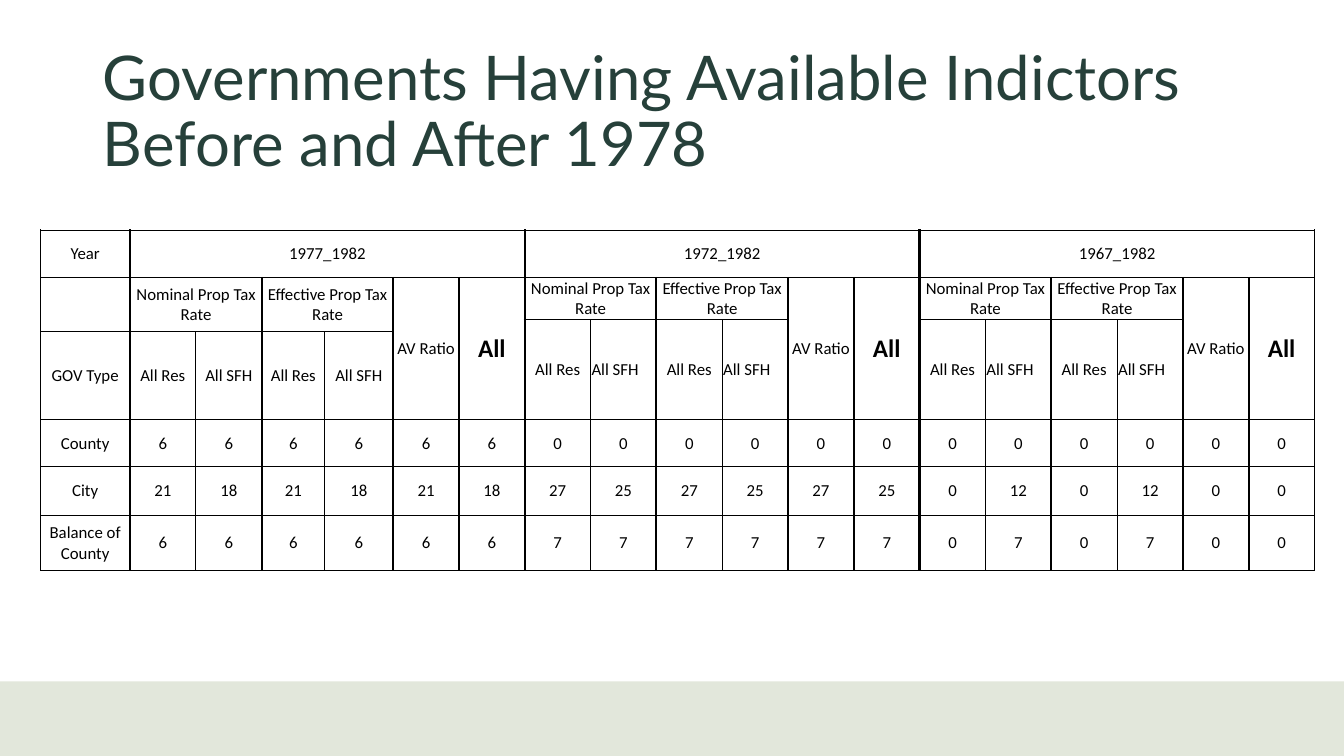
"""Builds the slide on governments with available indicators before and after 1978."""
from lxml import etree
from pptx import Presentation, util as u
from pptx.dml.color import RGBColor
from pptx.enum import shapes, text
from pptx.oxml import ns


def paint(color_format, color):
    color_format.rgb = RGBColor.from_string(color)


def draw_border(cell, side, width):
    line = etree.SubElement(cell._tc.get_or_add_tcPr(), ns.qn(f"a:ln{side}"), w=str(u.Pt(width)))
    fill = etree.SubElement(line, ns.qn("a:solidFill"))
    etree.SubElement(fill, ns.qn("a:srgbClr"), val="000000")


deck = Presentation()
deck.slide_width, deck.slide_height = u.Inches(13.33), u.Inches(7.5)
page = deck.slides.add_slide(deck.slide_layouts[5])

band_top = u.Inches(6.76)
band = page.shapes.add_shape(shapes.MSO_SHAPE.RECTANGLE, 0, band_top,
                             deck.slide_width, deck.slide_height - band_top)
band.shadow.inherit = False
band.fill.solid()
paint(band.fill.fore_color, "E2E7DB")
band.line.fill.background()

title = page.shapes.title
title.left, title.top, title.width, title.height = map(u.Inches, (0.92, 0.4, 11.5, 1.45))
title.text_frame.text = "Governments Having Available Indictors \vBefore and After 1978"
title.text_frame.word_wrap = True
title.text_frame.auto_size = text.MSO_AUTO_SIZE.NONE
title.text_frame.vertical_anchor = text.MSO_ANCHOR.MIDDLE
heading = title.text_frame.paragraphs[0]
heading.alignment = text.PP_ALIGN.LEFT
heading.line_spacing = 0.9
for span in heading.runs:
    span.font.name, span.font.size = "Lato", u.Pt(44)
    paint(span.font.color, "26403A")

periods = ["1977_1982", "1972_1982", "1967_1982"]
rates = ["Nominal Prop Tax Rate", "Effective Prop Tax Rate"]
counts = {
    "County": [6] * 6 + [0] * 12,
    "City": [21, 18, 21, 18, 21, 18, 27, 25, 27, 25, 27, 25, 0, 12, 0, 12, 0, 0],
    "Balance of\vCounty": [6] * 6 + [7] * 6 + [0, 7, 0, 7, 0, 0],
}

blocks = [(0, 0, 1, 1, "Year"), (1, 0, 2, 1, ""), (3, 0, 1, 1, "GOV Type")]
for group, period in enumerate(periods):
    first = 1 + 6 * group
    rate_rows = 1 if group else 2
    blocks.append((0, first, 1, 6, period))
    for pair, rate in enumerate(rates):
        column = first + 2 * pair
        blocks.append((1, column, rate_rows, 2, rate))
        for offset, kind in enumerate(["All Res", "All SFH"]):
            blocks.append((1 + rate_rows, column + offset, 3 - rate_rows, 1, kind))
    blocks += [(1, first + 4, 3, 1, "AV Ratio"), (1, first + 5, 3, 1, "All")]
for row, (government, values) in enumerate(counts.items(), 4):
    for column, value in enumerate([government, *values]):
        blocks.append((row, column, 1, 1, str(value)))

table_width = 12.64
widths = [0.89, 0.65, 0.66, 0.62, 0.68]
widths += [(table_width - sum(widths)) / 14] * 14
heights = [0.47, 0.42, 0.12, 0.87, 0.47, 0.48, 0.55]
edges = [0.5] + [2, 0.5, 1.5, 0.5, 1.5, 1.5] * 3 + [0.5]

table = page.shapes.add_table(len(heights), len(widths), u.Inches(0.4), u.Inches(2.28),
                              u.Inches(table_width), u.Inches(sum(heights))).table
table.first_row = table.horz_banding = False
for column, width in zip(table.columns, widths):
    column.width = u.Inches(width)
for row, height in zip(table.rows, heights):
    row.height = u.Inches(height)

for top, left, tall, wide, label in blocks:
    bottom, right = top + tall - 1, left + wide - 1
    for row in range(top, bottom + 1):
        for column in range(left, right + 1):
            cell = table.cell(row, column)
            origin = (row, column) == (top, left)
            for side, outer, width in [("L", column == left, edges[left]),
                                       ("R", column == right, edges[right + 1]),
                                       ("T", row == top, 0.5),
                                       ("B", row == bottom, 0.5)]:
                if outer or origin:
                    draw_border(cell, side, width)
            cell.fill.background()
    cell = table.cell(top, left)
    if tall * wide > 1:
        cell.merge(table.cell(bottom, right))
    cell.text = label
    cell.vertical_anchor = text.MSO_ANCHOR.MIDDLE
    cell.margin_left = cell.margin_right = cell.margin_top = u.Inches(0.01)
    cell.margin_bottom = 0
    para = cell.text_frame.paragraphs[0]
    flush = label == "All SFH" and left > 6
    para.alignment = text.PP_ALIGN.LEFT if flush else text.PP_ALIGN.CENTER
    for span in para.runs:
        span.font.name = "Calibri"
        span.font.size = u.Pt(18 if label == "All" else 12)
        span.font.bold = label == "All"
        paint(span.font.color, "000000")

deck.save("out.pptx")
